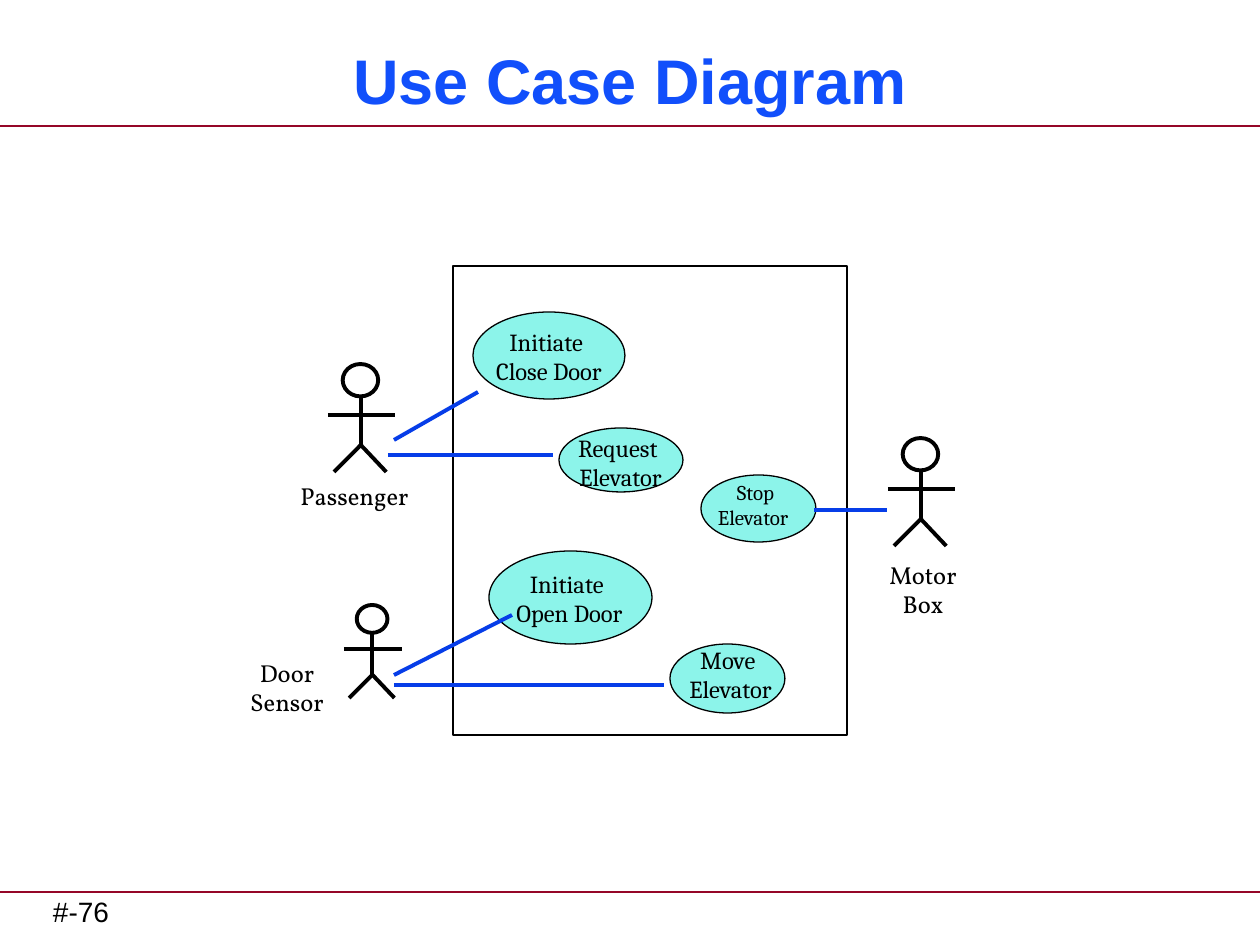
"""Build the elevator use case diagram slide."""
import pptx
import pptx.util
import pptx.dml.color
import pptx.enum.shapes
import pptx.enum.text
import pptx.oxml

RGB = pptx.dml.color.RGBColor
SHAPE = pptx.enum.shapes.MSO_SHAPE
ALIGN = pptx.enum.text.PP_ALIGN
ANCHOR = pptx.enum.text.MSO_ANCHOR

BLACK = RGB(0x00, 0x00, 0x00)
TITLE = RGB(0x11, 0x4F, 0xFB)
RULE = RGB(0x95, 0x07, 0x28)
LINK = RGB(0x06, 0x3D, 0xE8)
AQUA = RGB(0x8C, 0xF4, 0xEA)

SIZE = (1260, 945)
RULES = [126, 892]
SYSTEM = (453, 266, 394, 469)
ACTORS = [(328, 364, 67, 108), (344, 605, 58, 93), (888, 438, 67, 108)]
HEAD = (0.22, 0, 0.53, 0.3)
LIMBS = [
    (0.49, 0.3, 0.49, 0.75),
    (0.09, 1, 0.49, 0.75),
    (0.87, 1, 0.49, 0.75),
    (0, 0.47, 1, 0.47),
]
NAMES = [
    ("Passenger", (287, 474, 135, 43)),
    ("Door Sensor", (231, 651, 112, 72)),
    ("Motor Box", (858, 553, 130, 72)),
]
CASES = [
    ("Move \nElevator", 14, (670, 644, 115, 69), (651, 638, 159, 72)),
    ("Stop\vElevator ", 12, (701, 475, 115, 67), (651, 473, 209, 63)),
    ("Initiate \nClose Door", 14, (473, 312, 152, 87), (479, 320, 140, 72)),
    ("Request \nElevator", 14, (559, 428, 124, 64), (562, 426, 117, 72)),
    ("Initiate \nOpen Door", 14, (489, 551, 163, 93), (501, 547, 137, 102)),
]
LINKS = [
    (394, 440, 478, 392),
    (388, 455, 553, 455),
    (394, 675, 512, 615),
    (394, 685, 664, 685),
    (887, 510, 814, 510),
]


def scale(box):
    return [round(val * 914400 / 126) for val in box]


def format_all(item, form):
    for key, val in form.items():
        setattr(item, key, val)


def line(slide, ends, color, width):
    item = slide.shapes.add_connector(
        pptx.enum.shapes.MSO_CONNECTOR.STRAIGHT, *scale(ends))
    item.line.color.rgb = color
    item.line.width = pptx.util.Pt(width)
    props = item._element.spPr
    props.append(pptx.oxml.parse_xml(
        '<a:effectLst xmlns:a="http://schemas.openxmlformats.org/drawingml/2006/main"/>'))


def shape(slide, kind, box, width, fill=None):
    item = slide.shapes.add_shape(kind, *scale(box))
    item.shadow.inherit = False
    item.line.color.rgb = BLACK
    item.line.width = pptx.util.Pt(width)
    if fill is None:
        item.fill.background()
    else:
        item.fill.solid()
        item.fill.fore_color.rgb = fill


def write(item, text, size, face, color=BLACK, bold=False, align=ALIGN.CENTER, **frame):
    body = item.text_frame
    body.text = text
    format_all(body, {"word_wrap": True, "vertical_anchor": ANCHOR.MIDDLE, **frame})
    for par in body.paragraphs:
        par.alignment = align
        format_all(par.font, {"size": pptx.util.Pt(size), "name": face, "bold": bold})
        par.font.color.rgb = color


def label(slide, box, *args, **form):
    write(slide.shapes.add_textbox(*scale(box)), *args, **form)


def actor(slide, box):
    left, top, wide, high = box
    x, y, w, h = HEAD
    head = (left + x * wide, top + y * high, w * wide, h * high)
    shape(slide, SHAPE.OVAL, head, 2.25)
    for x1, y1, x2, y2 in LIMBS:
        ends = (left + x1 * wide, top + y1 * high, left + x2 * wide, top + y2 * high)
        line(slide, ends, BLACK, 2.25)


def main():
    deck = pptx.Presentation()
    deck.slide_width, deck.slide_height = scale(SIZE)
    slide = deck.slides.add_slide(deck.slide_layouts[5])
    title = slide.shapes.title
    format_all(title, dict(zip(("left", "top", "width", "height"), scale((21, 32, 1218, 94)))))
    write(title, "Use Case Diagram", 36, "Arial", TITLE, True)

    for y in RULES:
        line(slide, (0, y, SIZE[0], y), RULE, 1.5)
    label(slide, (53, 888, 609, 47), "#-76", 16, "Arial", align=ALIGN.LEFT,
          vertical_anchor=ANCHOR.TOP, margin_left=0, margin_right=0)

    shape(slide, SHAPE.RECTANGLE, SYSTEM, 0.75)
    for box in ACTORS:
        actor(slide, box)
    for text, box in NAMES:
        label(slide, box, text, 14, "Vollkorn")
    for text, size, oval, box in CASES:
        shape(slide, SHAPE.OVAL, oval, 0.75, AQUA)
        label(slide, box, text, size, "Cambria")
    for ends in LINKS:
        line(slide, ends, LINK, 2.25)
    deck.save("out.pptx")


if __name__ == "__main__":
    main()
